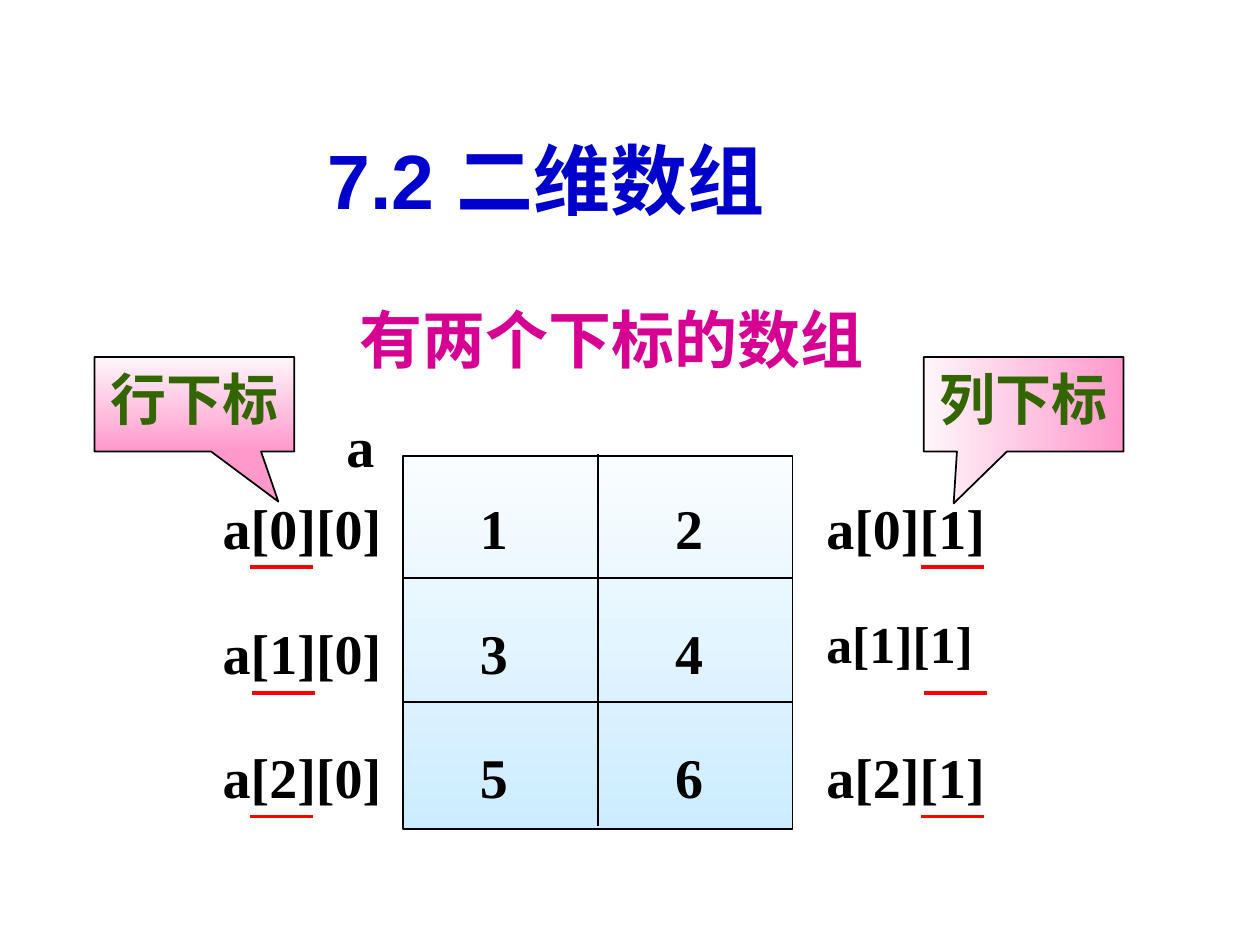
import pptx
import pptx.util
import pptx.dml.color
import pptx.enum.shapes
import pptx.enum.text
import pptx.oxml.ns
from lxml import etree

Pt = pptx.util.Pt
Align = pptx.enum.text.PP_ALIGN
Anchor = pptx.enum.text.MSO_ANCHOR
Shape = pptx.enum.shapes.MSO_SHAPE
qn = pptx.oxml.ns.qn

COLORS = {
    "title": "0000CC", "subtitle": "D60093", "ink": "000000",
    "callout_text": "336600", "underline": "FF0000",
    "pale_blue": "FAFDFF", "blue": "CCECFF",
    "pale_pink": "FFF5FA", "pink": "FF99CC",
}
SERIF = "Times New Roman"
CJK = "Noto Sans CJK SC"
GRID_LEFT, GRID_TOP, GRID_WIDTH, GRID_HEIGHT = 230.4, 260.6, 222.5, 213.2
ROW_TOPS = (278.6, 349.9, 420.5)
UNDERLINE_TOPS = (324, 396, 466.6)
CELL_LEFTS = (267.1, 378.7)
LABEL_LEFTS = (120.2, 465.1)
LABEL_WIDTHS = ((128.9, 123.1), (113.8, 105.1), (110.9, 110.9))


def color(name):
    return pptx.dml.color.RGBColor.from_string(COLORS[name])


def format_span(span, font_name, size, color_name):
    span.font.name = font_name
    span.font.size = Pt(size)
    span.font.bold = True
    span.font.color.rgb = color(color_name)
    east_asian = etree.SubElement(span.font._element, qn("a:ea"))
    east_asian.set("typeface", CJK)


def place(box, left, top, width, height):
    box.left, box.top = Pt(left), Pt(top)
    box.width, box.height = Pt(width), Pt(height)


def fill_placeholder(box, text, font_name, size, color_name, anchor):
    frame = box.text_frame
    frame.text = text
    frame.auto_size = pptx.enum.text.MSO_AUTO_SIZE.NONE
    frame.vertical_anchor = anchor
    para = frame.paragraphs[0]
    para.alignment = Align.LEFT
    para.space_before = Pt(0)
    format_span(para.runs[0], font_name, size, color_name)
    return para


def add_label(page, text, left, top, width, size=32, spacing=1.0):
    box = page.shapes.add_textbox(Pt(left), Pt(top), Pt(width), Pt(53.3))
    frame = box.text_frame
    frame.word_wrap = True
    frame.text = text
    para = frame.paragraphs[0]
    para.alignment = Align.JUSTIFY
    para.line_spacing = spacing
    format_span(para.runs[0], SERIF, size, "ink")


def add_gradient_shape(page, kind, bounds, start, end, angle):
    shape = page.shapes.add_shape(kind, *map(Pt, bounds))
    shape.shadow.inherit = False
    shape.fill.gradient()
    shape.fill.gradient_angle = angle
    for stop, name in zip(shape.fill.gradient_stops, (start, end)):
        stop.color.rgb = color(name)
    shape.line.color.rgb = color("ink")
    shape.line.width = Pt(1)
    return shape


def add_line(page, start, end, color_name, width):
    line = page.shapes.add_connector(
        pptx.enum.shapes.MSO_CONNECTOR.STRAIGHT, *map(Pt, start + end))
    line.line.color.rgb = color(color_name)
    line.line.width = Pt(width)
    etree.SubElement(line._element.spPr, qn("a:effectLst"))


def add_callout(page, text, left, tip, angle):
    callout = add_gradient_shape(page, Shape.RECTANGULAR_CALLOUT,
                                 (left, 204, 114.2, 54), "pale_pink", "pink", angle)
    callout.adjustments[0], callout.adjustments[1] = tip
    frame = callout.text_frame
    frame.margin_left = frame.margin_right = frame.margin_bottom = 0
    frame.margin_top = Pt(4.2)
    frame.vertical_anchor = Anchor.TOP
    frame.text = text
    para = frame.paragraphs[0]
    para.alignment = Align.CENTER
    format_span(para.runs[0], SERIF, 32, "callout_text")


def add_headings(page):
    title, body = page.shapes.title, page.placeholders[1]
    place(title, 180, 60, 300, 72)
    para = fill_placeholder(title, "7.2 ", "Arial", 44, "title", Anchor.BOTTOM)
    span = para.add_run()
    span.text = "二维数组"
    format_span(span, CJK, 44, "title")
    place(body, 198, 168, 330, 54)
    para = fill_placeholder(body, "有两个下标的数组", "Cabin", 36, "subtitle", Anchor.TOP)
    properties = para._p.get_or_add_pPr()
    properties.set("marL", str(Pt(27)))
    properties.set("indent", str(Pt(-27)))
    etree.SubElement(properties, qn("a:buNone"))


def add_grid(page):
    add_gradient_shape(page, Shape.RECTANGLE,
                       (GRID_LEFT, GRID_TOP, GRID_WIDTH, GRID_HEIGHT),
                       "pale_blue", "blue", 270)
    for top in (330.5, 401):
        add_line(page, (GRID_LEFT, top), (GRID_LEFT + GRID_WIDTH, top), "ink", 1)
    middle = GRID_LEFT + GRID_WIDTH / 2
    add_line(page, (middle, 259.2), (middle, 472.3), "ink", 1)


def add_elements(page):
    for row, top in enumerate(ROW_TOPS):
        for column in range(2):
            size, spacing = (29.6, 0.9) if (row, column) == (1, 1) else (32, 1.0)
            add_label(page, f"a[{row}][{column}]", LABEL_LEFTS[column], top,
                      LABEL_WIDTHS[row][column], size, spacing)
            add_label(page, str(2 * row + column + 1), CELL_LEFTS[column], top, 55.4)
    add_label(page, "a", 190.8, 231.8, 37.4)


def add_underlines(page):
    for left in (142.6, 526.3):
        for row, top in enumerate(UNDERLINE_TOPS):
            start = left + (1.5 if row == 1 else 0)
            add_line(page, (start, top), (start + 36, top), "underline", 2)


def main():
    deck = pptx.Presentation()
    deck.slide_width, deck.slide_height = Pt(720), Pt(540)
    page = deck.slides.add_slide(deck.slide_layouts[1])
    add_headings(page)
    add_grid(page)
    add_elements(page)
    add_callout(page, "行下标", 54, (0.42, 1.03), 270)
    add_callout(page, "列下标", 527.8, (-0.35, 1.05), 0)
    add_underlines(page)
    deck.save("out.pptx")


if __name__ == "__main__":
    main()
